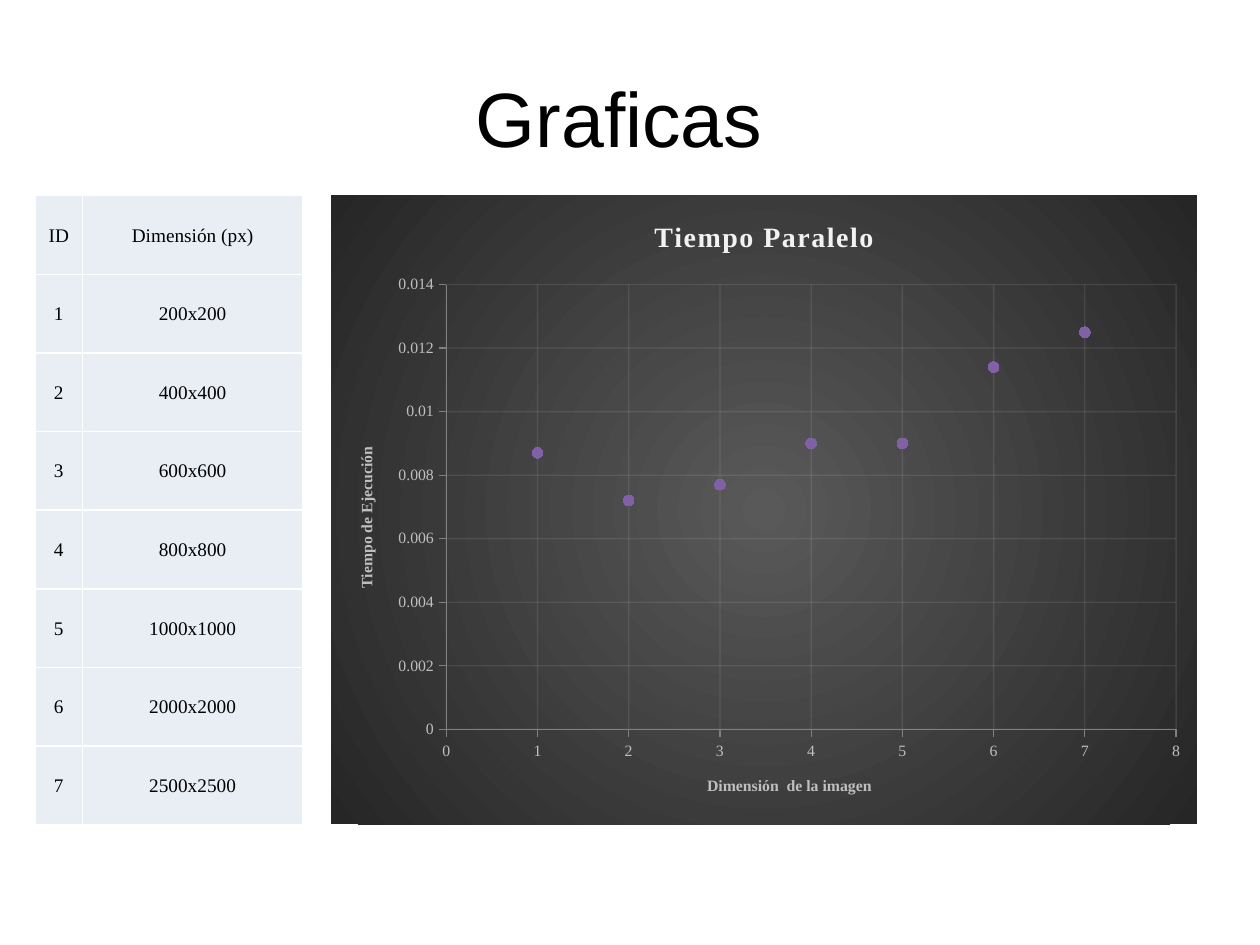
from dataclasses import dataclass

from lxml import etree
from pptx import Presentation
from pptx.chart.data import XyChartData
from pptx.dml.color import RGBColor
from pptx.enum.chart import XL_CHART_TYPE, XL_MARKER_STYLE, XL_TICK_MARK
from pptx.enum.text import MSO_ANCHOR, PP_ALIGN
from pptx.oxml import parse_xml
from pptx.oxml.ns import nsdecls, qn
from pptx.util import Pt

SCATTER = XL_CHART_TYPE.XY_SCATTER
CIRCLE = XL_MARKER_STYLE.CIRCLE
OUTSIDE = XL_TICK_MARK.OUTSIDE
MIDDLE = MSO_ANCHOR.MIDDLE
CENTER = PP_ALIGN.CENTER


@dataclass(frozen=True)
class Theme:
    title_font: str = "Arial"
    body_font: str = "Times New Roman"
    text: str = "000000"
    cell: str = "E9EDF4"
    border: str = "FFFFFF"
    chart_center: str = "595959"
    chart_edge: str = "262626"
    chart_title: str = "F2F2F2"
    axis_text: str = "BFBFBF"
    axis_line: str = "808080"
    grid: str = "F2F2F2"
    marker: str = "8061A5"
    title_size: int = 44
    cell_size: int = 11
    chart_title_size: int = 16
    axis_size: int = 9


class SlideBuilder:
    def __init__(self, slide, theme):
        self.slide = slide
        self.theme = theme

    def set_font(self, font, name, size, color, bold=False):
        font.name = name
        font.size = Pt(size)
        font.bold = bold
        font.color.rgb = RGBColor.from_string(color)

    def add_run(self, p, text, *style, **options):
        p.alignment = CENTER
        r = p.add_run()
        r.text = text
        self.set_font(r.font, *style, **options)
        return r

    def add_title(self, text, x, y, w, h):
        tf = self.slide.shapes.add_textbox(Pt(x), Pt(y), Pt(w), Pt(h)).text_frame
        tf.word_wrap = True
        tf.vertical_anchor = MIDDLE
        t = self.theme
        self.add_run(tf.paragraphs[0], text, t.title_font, t.title_size, t.text)

    def add_table(self, rows, x, y, col_widths, row_height):
        t = self.theme
        table = self.slide.shapes.add_table(
            len(rows), len(col_widths), Pt(x), Pt(y),
            Pt(sum(col_widths)), Pt(row_height * len(rows))).table
        table.first_row = table.horz_banding = False
        for col, width in zip(table.columns, col_widths):
            col.width = Pt(width)
        for row, values in zip(table.rows, rows):
            row.height = Pt(row_height)
            for cell, value in zip(row.cells, values):
                cell.vertical_anchor = MIDDLE
                cell.margin_left = cell.margin_right = cell.margin_top = Pt(0.7)
                cell.margin_bottom = 0
                self.add_run(cell.text_frame.paragraphs[0], value,
                             t.body_font, t.cell_size, t.text)
                self.add_borders(cell)
                cell.fill.solid()
                cell.fill.fore_color.rgb = RGBColor.from_string(t.cell)

    def add_borders(self, cell):
        tc_pr = cell._tc.get_or_add_tcPr()
        for side in ("lnL", "lnR", "lnT", "lnB"):
            tc_pr.append(parse_xml(
                f'<a:{side} {nsdecls("a")} w="{Pt(1)}"><a:solidFill>'
                f'<a:srgbClr val="{self.theme.border}"/></a:solidFill></a:{side}>'))

    def add_scatter(self, title, x_title, y_title, values, x, y, w, h):
        """Scatter chart with the values numbered from 1 along the x axis."""
        t = self.theme
        data = XyChartData()
        series = data.add_series("Series 1")
        for number, value in enumerate(values, 1):
            series.add_data_point(number, value)
        chart = self.slide.shapes.add_chart(
            SCATTER, Pt(x), Pt(y), Pt(w), Pt(h), data).chart
        self.set_font(chart.font, t.body_font, t.axis_size, t.axis_text)
        chart.has_legend = False
        chart.has_title = True
        r = self.add_run(chart.chart_title.text_frame.paragraphs[0], title,
                         t.body_font, t.chart_title_size, t.chart_title, bold=True)
        r._r.get_or_add_rPr().set("spc", "100")
        self.style_axis(chart.category_axis, x_title, 8, 1)
        self.style_axis(chart.value_axis, y_title, 0.014, 0.002)

        plotted = chart.plots[0].series[0]
        plotted.format.line.fill.background()
        marker = plotted.marker
        marker.style = CIRCLE
        marker.size = 6
        marker.format.fill.solid()
        marker.format.fill.fore_color.rgb = RGBColor.from_string(t.marker)
        marker.format.line.fill.background()
        self.finish_chart(chart._chartSpace)

    def style_axis(self, axis, title, maximum, step):
        t = self.theme
        axis.minimum_scale, axis.maximum_scale, axis.major_unit = 0, maximum, step
        axis.major_tick_mark = OUTSIDE
        axis.has_major_gridlines = True
        axis.tick_labels.number_format = "General"
        axis.tick_labels.number_format_is_linked = False
        self.set_font(axis.tick_labels.font, t.body_font, t.axis_size, t.axis_text)
        self.add_run(axis.axis_title.text_frame.paragraphs[0], title,
                     t.body_font, t.axis_size, t.axis_text, bold=True)
        for fmt, color in ((axis.format, t.axis_line),
                           (axis.major_gridlines.format, t.grid)):
            fmt.line.width = Pt(0.75)
            fmt.line.color.rgb = RGBColor.from_string(color)

    def finish_chart(self, space):
        """Radial background, faint gridlines and fixed plot area."""
        t = self.theme
        for color in space.xpath(".//c:majorGridlines//a:srgbClr"):
            etree.SubElement(color, qn("a:alpha")).set("val", "10000")

        space.find(qn("c:chart")).addnext(parse_xml(
            f'<c:spPr {nsdecls("c", "a")}><a:gradFill><a:gsLst>'
            f'<a:gs pos="0"><a:srgbClr val="{t.chart_center}"/></a:gs>'
            f'<a:gs pos="100000"><a:srgbClr val="{t.chart_edge}"/></a:gs></a:gsLst>'
            '<a:path path="circle">'
            '<a:fillToRect l="50000" t="50000" r="50000" b="50000"/></a:path>'
            '</a:gradFill><a:ln><a:noFill/></a:ln></c:spPr>'))

        area = space.xpath(".//c:plotArea")[0]
        for layout in area.findall(qn("c:layout")):
            area.remove(layout)
        bounds = {"x": 0.133, "y": 0.142, "w": 0.843, "h": 0.707}
        sizes = "".join(f'<c:{k} val="{v}"/>' for k, v in bounds.items())
        area.insert(0, parse_xml(
            f'<c:layout {nsdecls("c")}><c:manualLayout><c:layoutTarget val="inner"/>'
            f'<c:xMode val="edge"/><c:yMode val="edge"/>{sizes}'
            '</c:manualLayout></c:layout>'))
        area.append(parse_xml(
            f'<c:spPr {nsdecls("c", "a")}><a:noFill/><a:ln><a:noFill/></a:ln></c:spPr>'))


def main():
    prs = Presentation()
    prs.slide_width, prs.slide_height = Pt(720), Pt(540)
    s = SlideBuilder(prs.slides.add_slide(prs.slide_layouts[6]), Theme())

    s.add_title("Graficas ", 36, 21.6, 648, 90)

    sides = (200, 400, 600, 800, 1000, 2000, 2500)
    rows = [("ID", "Dimensión (px)")]
    rows += [(str(i), f"{side}x{side}") for i, side in enumerate(sides, 1)]
    s.add_table(rows, 20, 111.8, (27.2, 125.8), 44.95)

    times = (0.0087, 0.0072, 0.0077, 0.009, 0.009, 0.0114, 0.0125)
    s.add_scatter("Tiempo Paralelo", "Dimensión  de la imagen",
                  "Tiempo de Ejecución", times, 189.2, 111.6, 494.8, 359.5)
    prs.save("out.pptx")


if __name__ == "__main__":
    main()
